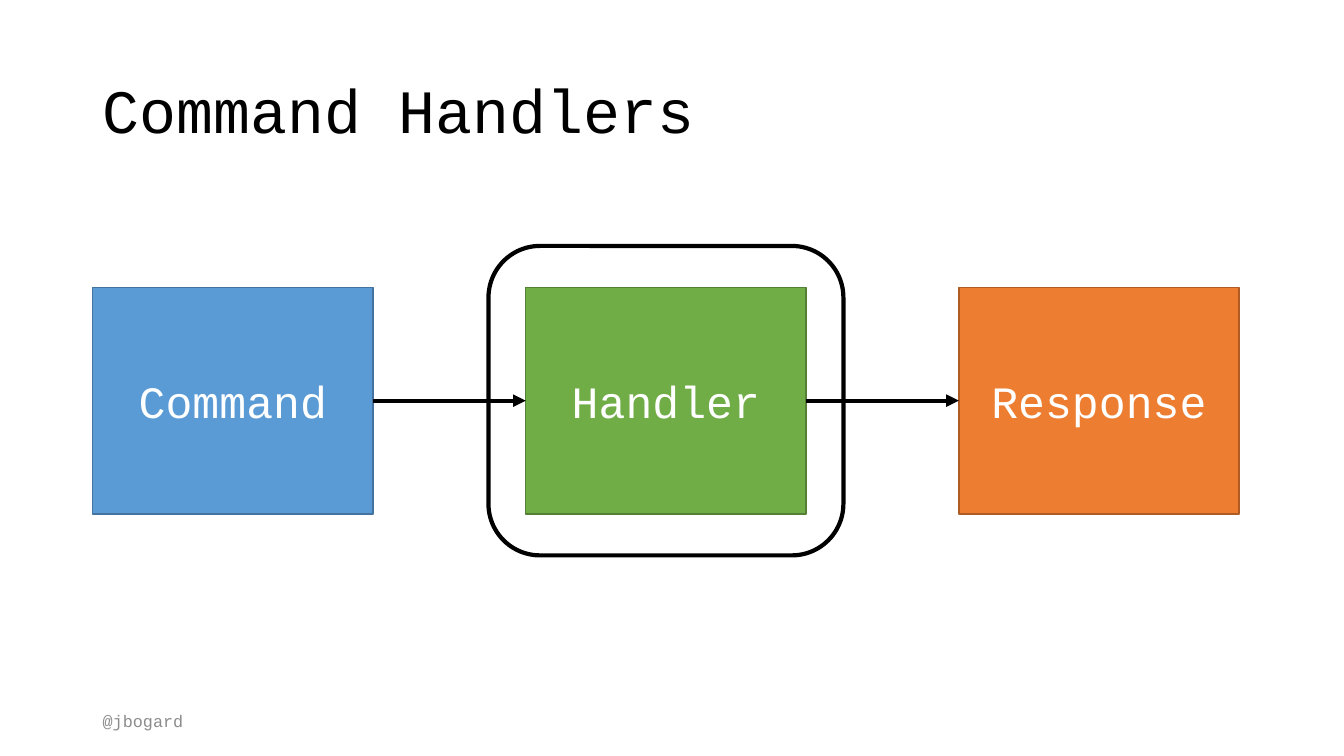
"""Build the Command Handlers slide."""
from lxml import etree
from pptx import Presentation
from pptx.dml.color import RGBColor
from pptx.enum.shapes import MSO_CONNECTOR, MSO_SHAPE
from pptx.enum.text import MSO_ANCHOR, PP_ALIGN
from pptx.oxml.ns import qn
from pptx.util import Inches, Pt

STRAIGHT = MSO_CONNECTOR.STRAIGHT
RECTANGLE = MSO_SHAPE.RECTANGLE
ROUNDED_RECTANGLE = MSO_SHAPE.ROUNDED_RECTANGLE
MIDDLE = MSO_ANCHOR.MIDDLE
LEFT = PP_ALIGN.LEFT
CENTER = PP_ALIGN.CENTER

FONT = "Courier New"
BLACK = RGBColor(0x00, 0x00, 0x00)
WHITE = RGBColor(0xFF, 0xFF, 0xFF)
GRAY = RGBColor(0x8C, 0x8C, 0x8C)
BLUE = RGBColor(0x5B, 0x9B, 0xD5)
DARK_BLUE = RGBColor(0x43, 0x73, 0x9E)
GREEN = RGBColor(0x70, 0xAD, 0x47)
DARK_GREEN = RGBColor(0x53, 0x80, 0x35)
ORANGE = RGBColor(0xED, 0x7D, 0x31)
DARK_ORANGE = RGBColor(0xAF, 0x5C, 0x24)

MARGIN = 0.92
STEP_TOP, STEP_WIDTH, STEP_HEIGHT = 2.85, 2.78, 2.25
STEP_PITCH = 4.295
FRAME_MARGIN_X, FRAME_MARGIN_Y = 0.37, 0.41
STEPS = [
    ("Command", BLUE, DARK_BLUE),
    ("Handler", GREEN, DARK_GREEN),
    ("Response", ORANGE, DARK_ORANGE),
]


def set_text(shape, text, size, color, align=LEFT, line_spacing=None):
    """Write one formatted, vertically centred paragraph into a shape."""
    frame = shape.text_frame
    frame.word_wrap = True
    frame.vertical_anchor = MIDDLE
    paragraph = frame.paragraphs[0]
    paragraph.text = text
    paragraph.alignment = align
    paragraph.line_spacing = line_spacing
    font = paragraph.runs[0].font
    font.name = FONT
    font.size = Pt(size)
    font.color.rgb = color


def add_title(slide, text):
    """Place and fill the title placeholder."""
    title = slide.shapes.title
    title.left, title.top = Inches(MARGIN), Inches(0.4)
    title.width, title.height = Inches(11.5), Inches(1.45)
    set_text(title, text, size=44, color=BLACK, line_spacing=0.9)


def add_footer(slide, text):
    """Add the speaker handle at the bottom left."""
    footer = slide.shapes.add_textbox(
        Inches(MARGIN), Inches(6.95), Inches(3), Inches(0.4))
    set_text(footer, text, size=12, color=GRAY)


def add_outlined_shape(slide, kind, left, top, width, height, line_color, line_width):
    """Add an unfilled preset shape with an outline and no shadow."""
    shape = slide.shapes.add_shape(
        kind, Inches(left), Inches(top), Inches(width), Inches(height))
    shape.shadow.inherit = False
    shape.fill.background()
    shape.line.color.rgb = line_color
    shape.line.width = Pt(line_width)
    return shape


def add_step(slide, index, text, fill_color, line_color):
    """Add one labelled box of the flow."""
    step = add_outlined_shape(
        slide, RECTANGLE, MARGIN + index * STEP_PITCH, STEP_TOP,
        STEP_WIDTH, STEP_HEIGHT, line_color, 1)
    step.fill.solid()
    step.fill.fore_color.rgb = fill_color
    set_text(step, text, size=32, color=WHITE, align=CENTER)
    return step


def add_arrow(slide, source, target):
    """Join the right side of one box to the left side of the next."""
    arrow = slide.shapes.add_connector(STRAIGHT, 0, 0, 0, 0)
    arrow.begin_connect(source, 3)
    arrow.end_connect(target, 1)
    arrow.line.color.rgb = BLACK
    arrow.line.width = Pt(3)
    line = arrow.line._get_or_add_ln()
    etree.SubElement(line, qn("a:tailEnd"), type="triangle")
    etree.SubElement(arrow._element.spPr, qn("a:effectLst"))


def add_handler_frame(slide):
    """Add the rounded outline around the middle box."""
    add_outlined_shape(
        slide, ROUNDED_RECTANGLE,
        MARGIN + STEP_PITCH - FRAME_MARGIN_X, STEP_TOP - FRAME_MARGIN_Y,
        STEP_WIDTH + 2 * FRAME_MARGIN_X, STEP_HEIGHT + 2 * FRAME_MARGIN_Y,
        BLACK, 3)


def main():
    """Build and save the presentation."""
    presentation = Presentation()
    presentation.slide_width = Inches(13.33)
    presentation.slide_height = Inches(7.5)
    slide = presentation.slides.add_slide(presentation.slide_layouts[5])
    add_title(slide, "Command Handlers")
    add_footer(slide, "@jbogard")
    boxes = [add_step(slide, index, *step) for index, step in enumerate(STEPS)]
    for source, target in zip(boxes, boxes[1:]):
        add_arrow(slide, source, target)
    add_handler_frame(slide)
    presentation.save("out.pptx")


if __name__ == "__main__":
    main()
